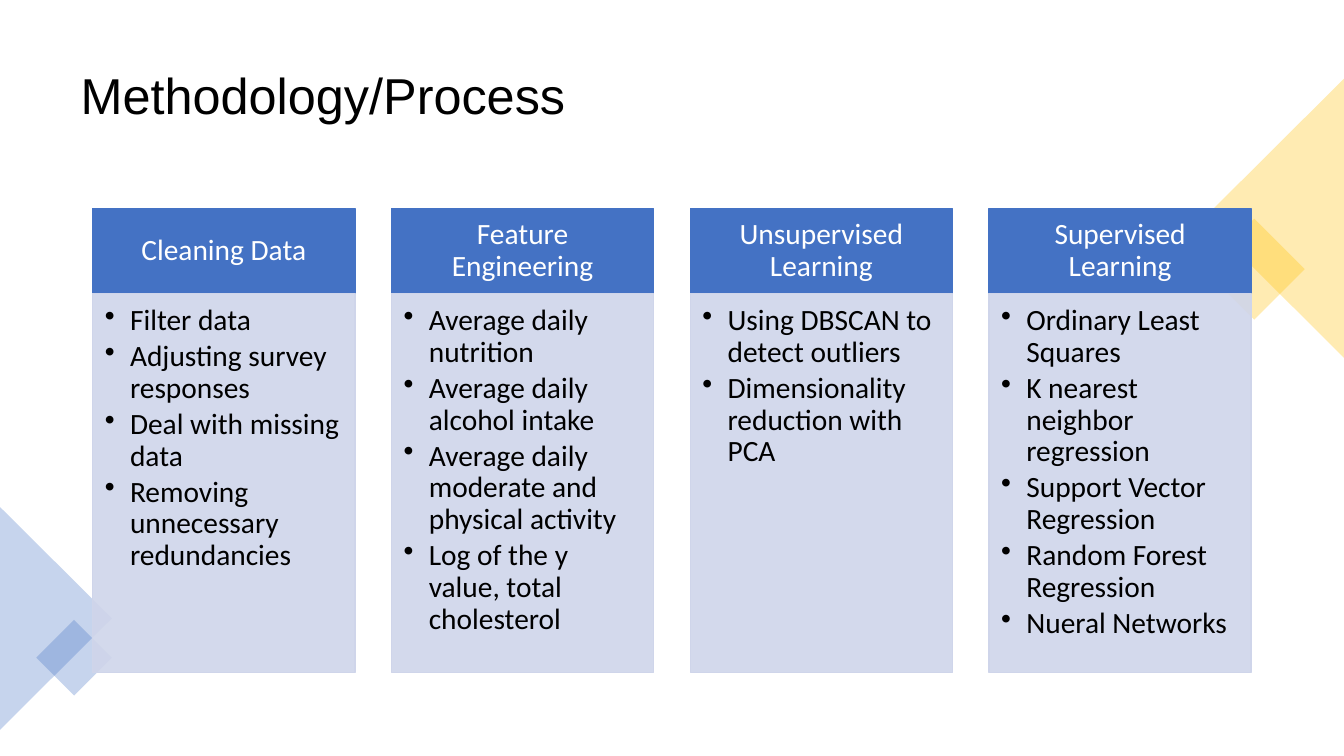
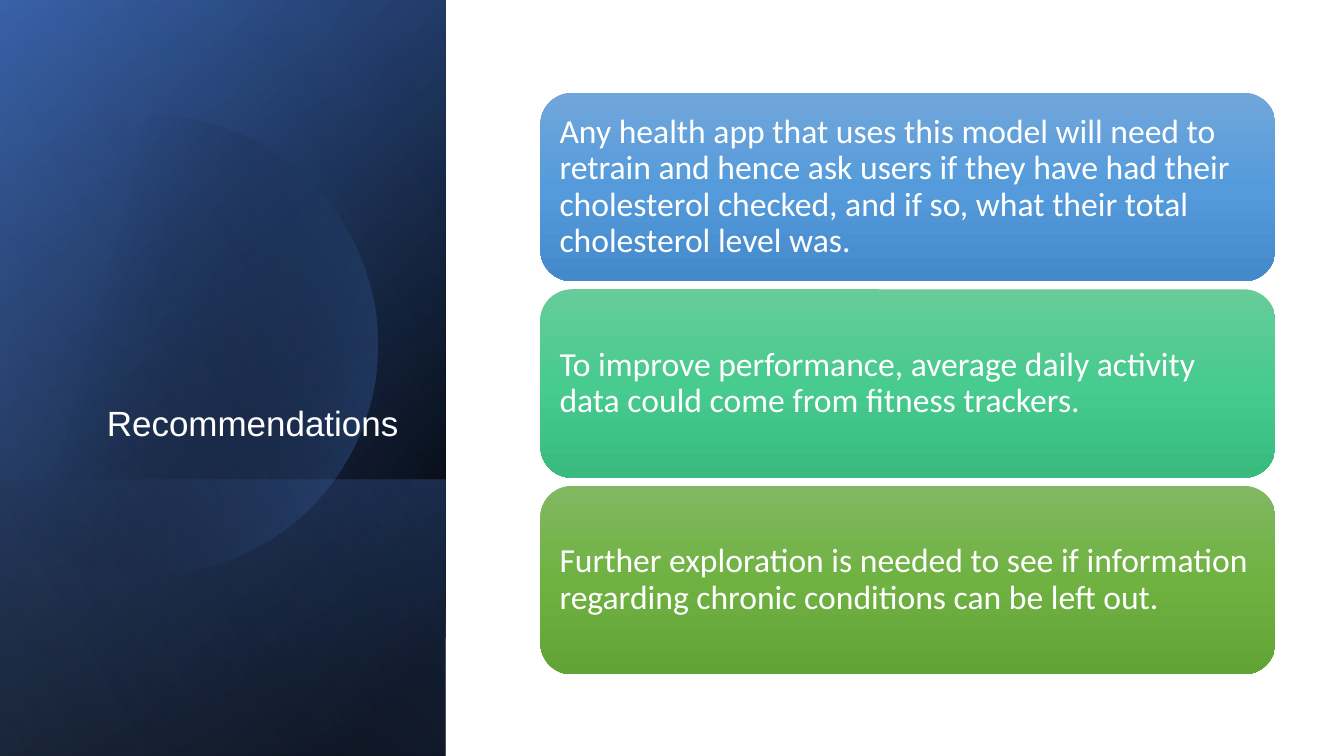
from math import cos, radians, sin

from lxml import etree
from pptx import Presentation
from pptx.dml.color import RGBColor
from pptx.enum.shapes import MSO_SHAPE
from pptx.enum.text import MSO_ANCHOR, MSO_AUTO_SIZE, PP_ALIGN
from pptx.oxml.ns import qn
from pptx.util import Inches, Pt

LEFT, CENTER, RIGHT = PP_ALIGN.LEFT, PP_ALIGN.CENTER, PP_ALIGN.RIGHT
TOP, MIDDLE, BOTTOM = MSO_ANCHOR.TOP, MSO_ANCHOR.MIDDLE, MSO_ANCHOR.BOTTOM
RECTANGLE, ROUNDED = MSO_SHAPE.RECTANGLE, MSO_SHAPE.ROUNDED_RECTANGLE
TRIANGLE, DIAMOND = MSO_SHAPE.ISOSCELES_TRIANGLE, MSO_SHAPE.DIAMOND

WIDTH, HEIGHT = 13.33, 7.5
TITLE_FONT, BODY_FONT = "Arial", "Calibri"
BLUE, GOLD, PALE = "4472C4", "FFC000", "CFD5EA"
BLACK, WHITE = "000000", "FFFFFF"


def paint(shape, stops, angle=0, edge=None):
    """Fill with (position, colour, opacity) stops in percent; one stop is a solid fill."""
    properties = shape.element.spPr
    solid = len(stops) == 1
    fill = etree.SubElement(properties, qn("a:solidFill" if solid else "a:gradFill"))
    parent = fill if solid else etree.SubElement(fill, qn("a:gsLst"))
    for position, color, opacity in stops:
        holder = parent
        if not solid:
            holder = etree.SubElement(parent, qn("a:gs"), pos=str(position * 1000))
        tint = etree.SubElement(holder, qn("a:srgbClr"), val=color)
        if opacity < 100:
            etree.SubElement(tint, qn("a:alpha"), val=str(opacity * 1000))
    if not solid:
        etree.SubElement(fill, qn("a:lin"), ang=str(angle * 60000), scaled="0")
    if edge:
        shape.line.color.rgb = RGBColor.from_string(edge)
        shape.line.width = Pt(1)
    else:
        shape.line.fill.background()
    shape.shadow.inherit = False


def write(shape, lines, size, color, font=BODY_FONT, align=LEFT, anchor=MIDDLE,
          margins=(0.1, 0.05), bullets=False):
    frame = shape.text_frame
    frame.word_wrap = True
    frame.auto_size = MSO_AUTO_SIZE.NONE
    frame.vertical_anchor = anchor
    frame.margin_left = frame.margin_right = Inches(margins[0])
    frame.margin_top = frame.margin_bottom = Inches(margins[1])
    frame.text = "\n".join(lines)
    for para in frame.paragraphs:
        para.alignment = align
        para.line_spacing = 0.9
        para.font.size = Pt(size)
        para.font.name = font
        para.font.color.rgb = RGBColor.from_string(color)
        if bullets:
            para.space_after = Pt(3)
            indent = Inches(0.25)
            para_properties = para._p.get_or_add_pPr()
            para_properties.set("marL", str(indent))
            para_properties.set("indent", str(-indent))
            bullet = etree.Element(qn("a:buChar"), char="•")
            para_properties.find(qn("a:defRPr")).addprevious(bullet)


deck = Presentation()
deck.slide_width, deck.slide_height = Inches(WIDTH), Inches(HEIGHT)
pages = []
for text, place, size, color, align, anchor in [
    ("Methodology/Process", (0.7, 0.35, 11.93, 1.24), 36, BLACK, LEFT, MIDDLE),
    ("Recommendations", (0.64, 1.84, 3.41, 2.62), 25, WHITE, RIGHT, BOTTOM),
]:
    page = deck.slides.add_slide(deck.slide_layouts[5])
    title = page.shapes.title
    title.left, title.top, title.width, title.height = map(Inches, place)
    write(title, [text], size, color, TITLE_FONT, align, anchor)
    pages.append(page)
process_page, advice_page = pages

# Methodology: corner ornaments, then four columns
for kind, place, rotation, color in [
    (DIAMOND, (11.94, 2.17, 1, 1), 0, GOLD),
    (TRIANGLE, (11.25, 1.47, 2.77, 1.39), 270, GOLD),
    (TRIANGLE, (-0.55, 5.58, 2.21, 1.11), 90, BLUE),
    (DIAMOND, (0.36, 6.15, 0.75, 0.75), 0, BLUE),
]:
    ornament = process_page.shapes.add_shape(kind, *map(Inches, place))
    ornament.rotation = rotation
    paint(ornament, [(0, color, 30)])

steps = {
    "Cleaning Data": [
        "Filter data", "Adjusting survey responses", "Deal with missing data",
        "Removing unnecessary redundancies"],
    "Feature Engineering": [
        "Average daily nutrition", "Average daily alcohol intake",
        "Average daily moderate and physical activity",
        "Log of the y value, total cholesterol"],
    "Unsupervised Learning": [
        "Using DBSCAN to detect outliers", "Dimensionality reduction with PCA"],
    "Supervised Learning": [
        "Ordinary Least Squares", "K nearest neighbor regression",
        "Support Vector Regression", "Random Forest Regression", "Nueral Networks"],
}
first_left, last_right, column_width = 0.92, 12.41, 2.6
column_step = (last_right - first_left - column_width) / (len(steps) - 1)
head_top, head_height, body_height = 2.07, 0.84, 3.76
for index, (heading, points) in enumerate(steps.items()):
    left = Inches(first_left + index * column_step)
    head = process_page.shapes.add_shape(
        RECTANGLE, left, Inches(head_top), Inches(column_width), Inches(head_height))
    paint(head, [(0, BLUE, 100)], edge=BLUE)
    write(head, [heading], 21, WHITE, align=CENTER, margins=(0.16, 0.09))
    body = process_page.shapes.add_shape(
        RECTANGLE, left, Inches(head_top + head_height),
        Inches(column_width), Inches(body_height))
    paint(body, [(0, PALE, 90)], edge=PALE)
    write(body, points, 21, BLACK, anchor=TOP, margins=(0.12, 0.12), bullets=True)

# Recommendations: layered side panel with a disc cut off by the slide's left edge
panel_width, band_top = 4.42, 4.76
disc_x, disc_y, disc_radius = 1.46, 3.42, 2.28
layers = [
    (0, [(8, BLACK, 100), (100, "2F5597", 100)], 220),
    (0, [(0, BLACK, 0), (99, BLUE, 46)], 240),
    (band_top, [(2, BLUE, 29), (100, BLACK, 30)], 140),
    (None, [(29, BLACK, 0), (100, BLUE, 43)], 14),
    (0, [(0, BLACK, 0), (99, "8FAADC", 11)], 150),
]
for top, stops, angle in layers:
    if top is None:
        arc = [(Inches(disc_x + disc_radius * cos(radians(turn))),
                Inches(disc_y + disc_radius * sin(radians(turn))))
               for turn in range(-129, 130, 2)]
        outline = advice_page.shapes.build_freeform(*arc[0])
        outline.add_line_segments(arc[1:], close=True)
        layer = outline.convert_to_shape()
    else:
        layer = advice_page.shapes.add_shape(
            RECTANGLE, 0, Inches(top), Inches(panel_width), Inches(HEIGHT - top))
    paint(layer, stops, angle)

# The title stands in front of the panel
title = advice_page.shapes.title.element
title.getparent().append(title)

cards = [
    ("Any health app that uses this model will need to retrain and hence ask users "
     "if they have had their cholesterol checked, and if so, what their total "
     "cholesterol level was.", ("71A6DB", "559BDB", "448ACA")),
    ("To improve performance, average daily activity data could come from fitness "
     "trackers.", ("67CC9A", "47CB8E", "39BB7F")),
    ("Further exploration is needed to see if information regarding chronic "
     "conditions can be left out.", ("81B861", "6FB242", "62A336")),
]
card_height, card_step = 1.87, 1.95
for index, (advice, colors) in enumerate(cards):
    card = advice_page.shapes.add_shape(
        ROUNDED, Inches(5.36), Inches(0.92 + index * card_step),
        Inches(7.29), Inches(card_height))
    paint(card, [(50 * stop, color, 100) for stop, color in enumerate(colors)], 90)
    write(card, [advice], 24, WHITE, margins=(0.1, 0.1))

deck.save("out.pptx")
